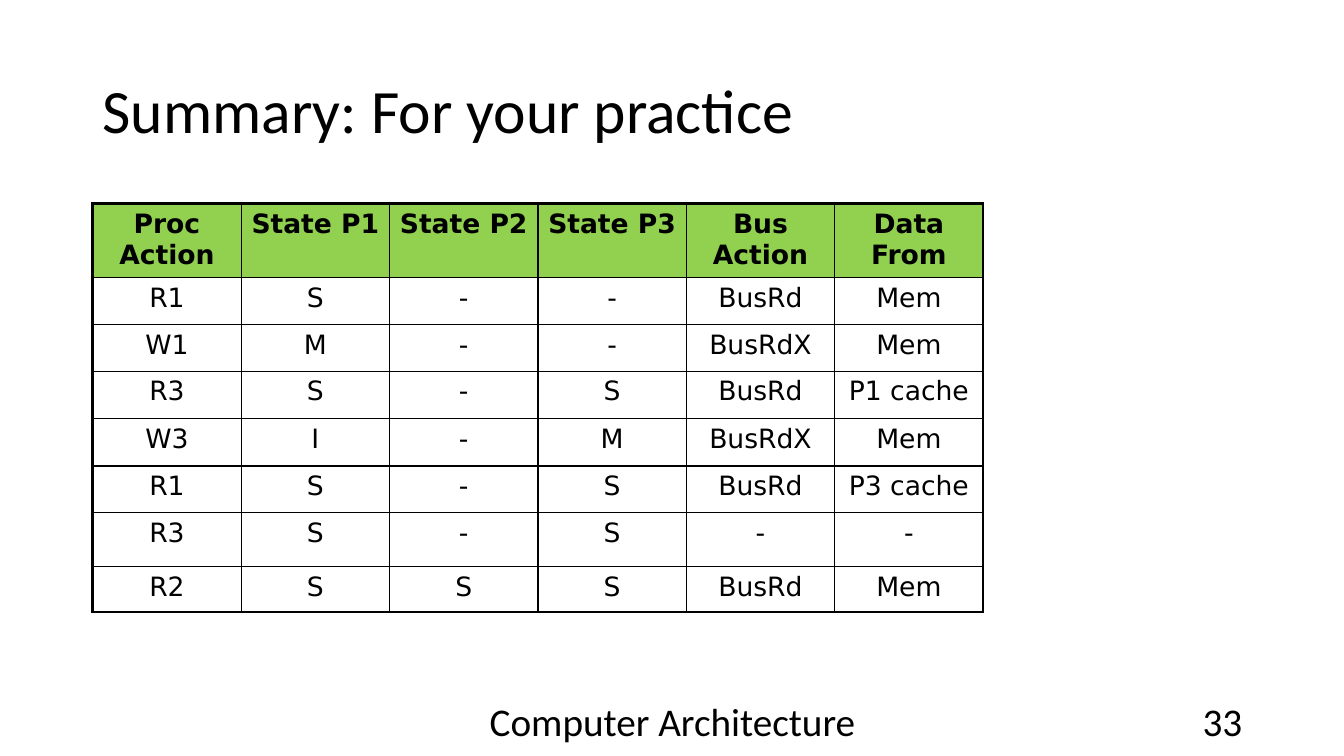
from lxml.etree import SubElement
from pptx import Presentation
from pptx.dml.color import RGBColor
from pptx.enum.text import MSO_ANCHOR, PP_ALIGN
from pptx.oxml.ns import qn
from pptx.util import Inches, Pt

BLACK = "000000"
GREEN = "92D050"
THIN, THICK = 1, 2.25

ROW_HEIGHTS = [0.73, 0.47, 0.46, 0.47, 0.47, 0.46, 0.54, 0.45]
ROWS = [
    ["Proc Action", "State P1", "State P2", "State P3", "Bus Action", "Data From"],
    ["R1", "S", "-", "-", "BusRd", "Mem"],
    ["W1", "M", "-", "-", "BusRdX", "Mem"],
    ["R3", "S", "-", "S", "BusRd", "P1 cache"],
    ["W3", "I", "-", "M", "BusRdX", "Mem"],
    ["R1", "S", "-", "S", "BusRd", "P3 cache"],
    ["R3", "S", "-", "S", "-", "-"],
    ["R2", "S", "S", "S", "BusRd", "Mem"],
]


def color(value):
    return RGBColor.from_string(value)


def write(para, text, size, font, align, bold=False):
    para.alignment = align
    span = para.add_run()
    span.text = text
    span.font.size = Pt(size)
    span.font.name = font
    span.font.bold = bold
    span.font.color.rgb = color(BLACK)


def add_text(page, box, text, size, align):
    frame = page.shapes.add_textbox(*map(Inches, box)).text_frame
    frame.word_wrap = True
    frame.vertical_anchor = MSO_ANCHOR.MIDDLE
    para = frame.paragraphs[0]
    write(para, text, size, "Calibri", align)
    return para


def add_title(page, box):
    para = add_text(page, box, "Summary: For your practice", 44, PP_ALIGN.LEFT)
    para.line_spacing = 0.9


def add_footer(page, box):
    left, top, width, height = box
    number_width = 3
    label_width = 4.5
    add_text(page, (left + (width - label_width) / 2, top, label_width, height),
             "Computer Architecture", 28, PP_ALIGN.CENTER)
    add_text(page, (left + width - number_width, top, number_width, height),
             "33", 28, PP_ALIGN.RIGHT)


def set_borders(cell, widths):
    properties = cell._tc.get_or_add_tcPr()
    for index, (side, width) in enumerate(widths.items()):
        line = SubElement(properties, qn(f"a:ln{side}"), w=str(Pt(width)))
        fill = SubElement(line, qn("a:solidFill"))
        SubElement(fill, qn("a:srgbClr"), val=BLACK)
        properties.insert(index, line)


def add_state_table(page, box):
    last_row, last_column = len(ROWS) - 1, len(ROWS[0]) - 1
    table = page.shapes.add_table(len(ROWS), len(ROWS[0]), *map(Inches, box)).table
    table.first_row = False
    table.horz_banding = False
    for column in table.columns:
        column.width = Inches(box[2] / len(ROWS[0]))
    for y, (height, texts) in enumerate(zip(ROW_HEIGHTS, ROWS)):
        table.rows[y].height = Inches(height)
        for x, text in enumerate(texts):
            cell = table.cell(y, x)
            write(cell.text_frame.paragraphs[0], text, 19, "DejaVu Sans",
                  PP_ALIGN.CENTER, bold=y == 0)
            if y == 0:
                cell.fill.solid()
                cell.fill.fore_color.rgb = color(GREEN)
            else:
                cell.fill.background()
            set_borders(cell, {
                "L": THICK if x == 0 else THIN,
                "R": THICK if x == last_column else THIN,
                "T": THICK if y == 0 else THIN,
                "B": THICK if y == last_row else THIN,
            })


def main():
    deck = Presentation()
    deck.slide_width, deck.slide_height = Inches(13.33), Inches(7.5)
    page = deck.slides.add_slide(deck.slide_layouts[6])
    add_title(page, (0.92, 0.4, 11.5, 1.45))
    add_footer(page, (0.92, 6.95, 11.5, 0.4))
    add_state_table(page, (0.92, 2.02, 8.83, sum(ROW_HEIGHTS)))
    deck.save("out.pptx")


if __name__ == "__main__":
    main()
